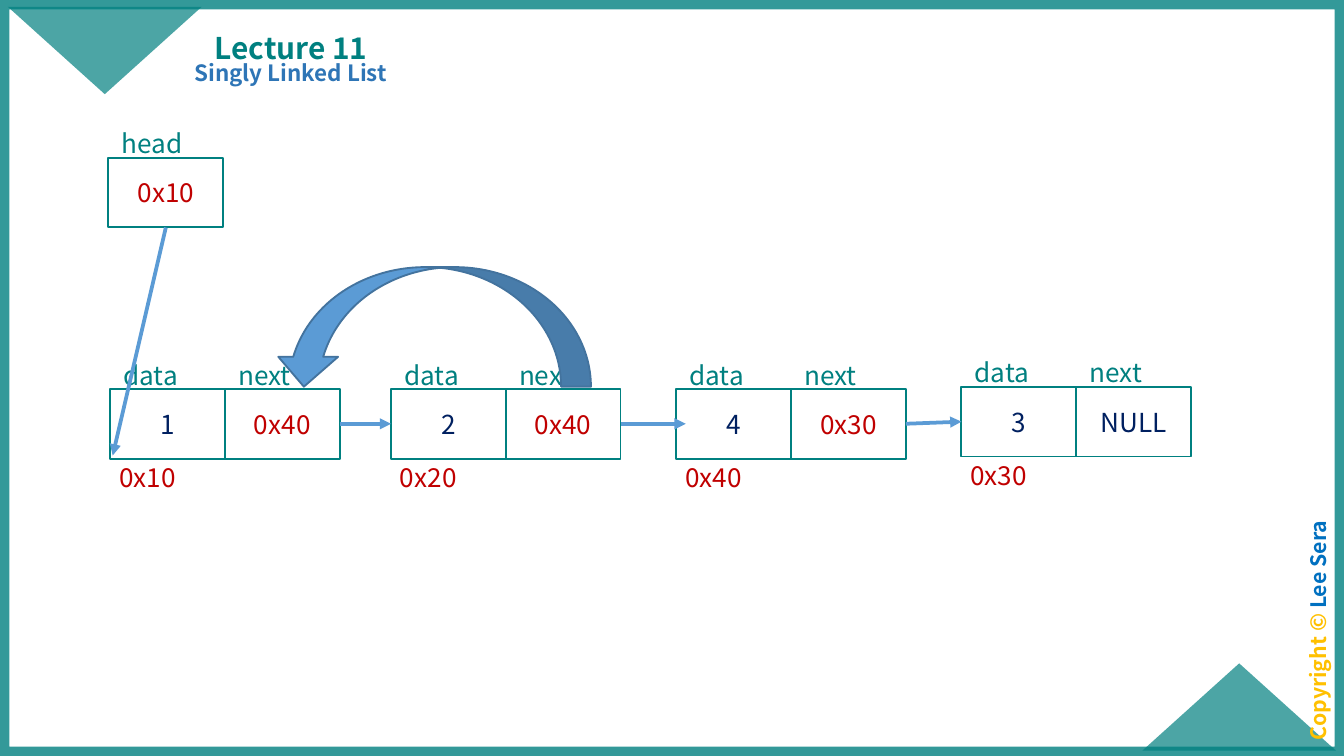
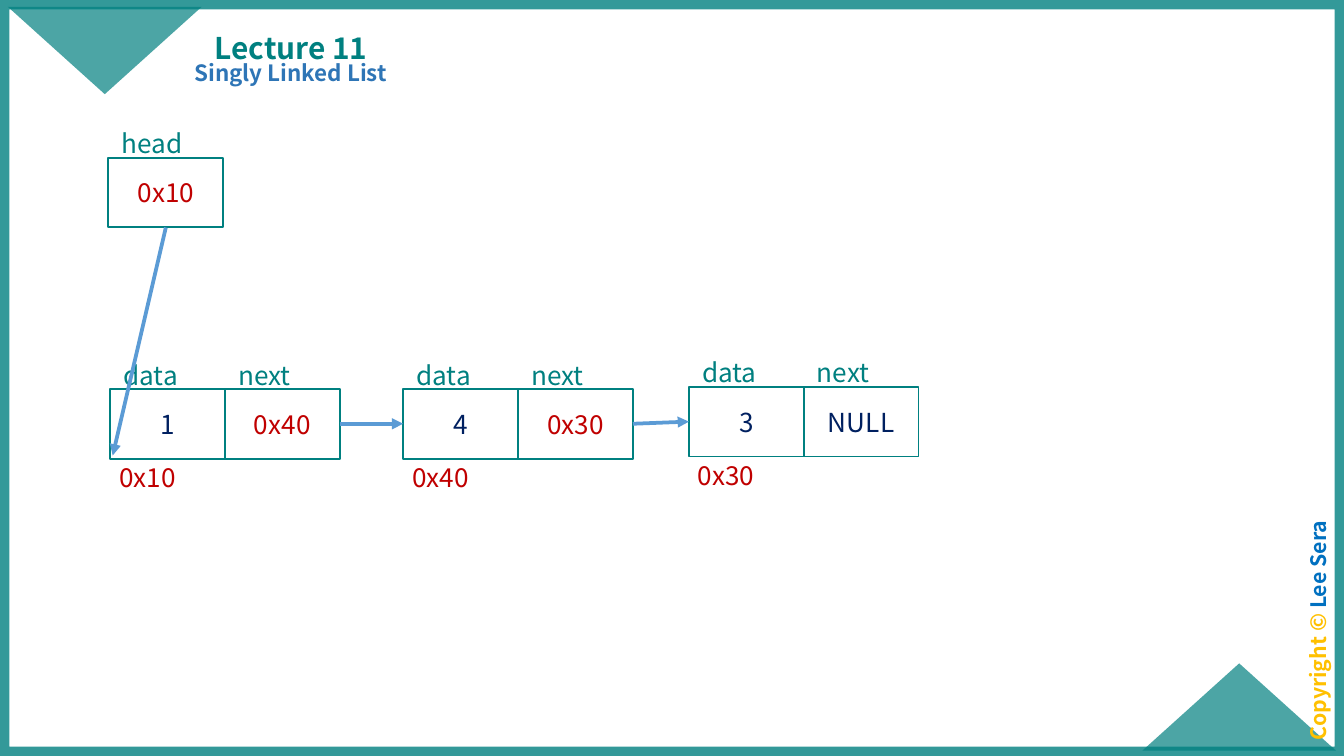
from dataclasses import dataclass

from lxml.etree import SubElement
from pptx import Presentation
from pptx.dml.color import RGBColor
from pptx.enum.shapes import MSO_CONNECTOR, MSO_SHAPE
from pptx.enum.text import MSO_ANCHOR as Anchor
from pptx.enum.text import MSO_AUTO_SIZE as AutoSize
from pptx.enum.text import PP_ALIGN as Align
from pptx.oxml.ns import qn
from pptx.shapes.autoshape import Shape
from pptx.shapes.connector import Connector
from pptx.shapes.shapetree import GroupShapes
from pptx.slide import Slide
from pptx.text.text import TextFrame
from pptx.util import Cm, Pt

COLORS = {
    "teal": "008080",
    "red": "C00000",
    "navy": "002060",
    "arrow": "5B9BD5",
    "arrow_edge": "43739E",
    "subtitle": "2E75B6",
    "gold": "FFC000",
    "author": "0070C0",
}
FONT = "Noto Sans CJK KR"
PAGE_WIDTH, PAGE_HEIGHT = 25.4, 14.29
CELL_WIDTH, CELL_HEIGHT = 2.17, 1.32
LABEL_WIDTH, LABEL_HEIGHT, LABEL_RISE = 3.02, 0.86, 0.69
ADDRESS_SHIFT, ADDRESS_DROP = -0.08, 1.24
ROW_TOP = 7.35
TOP, LEFT, BOTTOM, RIGHT = range(4)


@dataclass(frozen=True)
class Frame:
    """A place on the page, in centimetres."""
    left: float
    top: float
    width: float
    height: float

    def lengths(self) -> tuple[Cm, Cm, Cm, Cm]:
        return Cm(self.left), Cm(self.top), Cm(self.width), Cm(self.height)


@dataclass(frozen=True)
class Span:
    text: str
    color: str
    size: float = 14
    bold: bool = False


@dataclass(frozen=True)
class Node:
    left: float
    data: str
    link: str
    address: str
    top: float = ROW_TOP
    arrow_overlap: float = 0


@dataclass(frozen=True)
class Cells:
    data: Shape
    link: Shape


FIRST = Node(2.08, "1", "0x40", "0x10")
LISTS = [
    [
        FIRST,
        Node(7.39, "2", "0x40", "0x20"),
        Node(12.78, "4", "0x30", "0x40", arrow_overlap=0.18),
        Node(18.17, "3", "NULL", "0x30", top=7.31),
    ],
    [
        FIRST,
        Node(7.62, "4", "0x30", "0x40"),
        Node(13.02, "3", "NULL", "0x30", top=7.31),
    ],
]


def rgb(name: str) -> RGBColor:
    return RGBColor.from_string(COLORS[name])


def write(frame: TextFrame, *spans: Span, align: Align = Align.LEFT,
          spacing: float | None = None, before: float = 0) -> None:
    para = frame.paragraphs[0]
    para.alignment = align
    para.line_spacing = spacing
    para.space_before = Pt(before)
    for span in spans:
        run = para.add_run()
        run.text = span.text
        run.font.name = FONT
        run.font.size = Pt(span.size)
        run.font.bold = span.bold
        run.font.color.rgb = rgb(span.color)


def tighten(frame: TextFrame) -> None:
    """Use the narrow margins shared by titles and credit."""
    frame.word_wrap = True
    frame.auto_size = AutoSize.NONE
    frame.margin_left = frame.margin_right = Cm(0.18)
    frame.margin_top = frame.margin_bottom = Cm(0.1)


def add_figure(shapes: GroupShapes, kind: MSO_SHAPE, place: Frame,
               fill: str | None = None, line: str | None = None,
               weight: float = 1) -> Shape:
    figure = shapes.add_shape(kind, *place.lengths())
    figure.shadow.inherit = False
    if fill:
        figure.fill.solid()
        figure.fill.fore_color.rgb = rgb(fill)
    else:
        figure.fill.background()
    if line:
        figure.line.color.rgb = rgb(line)
        figure.line.width = Pt(weight)
    else:
        figure.line.fill.background()
    return figure


def set_opacity(figure: Shape, percent: int) -> None:
    for color in figure.element.spPr.iter(qn("a:srgbClr")):
        SubElement(color, qn("a:alpha")).set("val", str(percent * 1000))


def add_cell(shapes: GroupShapes, left: float, top: float, text: str,
             color: str) -> Shape:
    cell = add_figure(shapes, MSO_SHAPE.RECTANGLE,
                      Frame(left, top, CELL_WIDTH, CELL_HEIGHT), line="teal")
    cell.text_frame.vertical_anchor = Anchor.MIDDLE
    write(cell.text_frame, Span(text, color), align=Align.CENTER)
    return cell


def add_label(shapes: GroupShapes, left: float, top: float, text: str,
              color: str = "teal") -> None:
    place = Frame(left, top, LABEL_WIDTH, LABEL_HEIGHT)
    box = shapes.add_textbox(*place.lengths())
    box.text_frame.word_wrap = True
    box.text_frame.auto_size = AutoSize.SHAPE_TO_FIT_TEXT
    write(box.text_frame, Span(text, color))


def add_node(page: Slide, node: Node) -> Cells:
    shapes = page.shapes.add_group_shape().shapes
    link_left = node.left + CELL_WIDTH
    link_color = "navy" if node.link == "NULL" else "red"
    data = add_cell(shapes, node.left, node.top, node.data, "navy")
    link = add_cell(shapes, link_left, node.top, node.link, link_color)
    add_label(shapes, node.left, node.top - LABEL_RISE, "data")
    add_label(shapes, link_left, node.top - LABEL_RISE, "next")
    add_label(shapes, node.left + ADDRESS_SHIFT, node.top + ADDRESS_DROP,
              node.address, "red")
    return Cells(data, link)


def add_head(page: Slide) -> Shape:
    shapes = page.shapes.add_group_shape().shapes
    left, top = 2.05, 2.98
    cell = add_cell(shapes, left, top, "0x10", "red")
    add_label(shapes, left, top - LABEL_RISE, "head")
    return cell


def add_arrow(page: Slide, start: Shape, side: int, end_x: float,
              end_y: float) -> Connector:
    """Draw an arrow from a side of a cell to a point."""
    arrow = page.shapes.add_connector(
        MSO_CONNECTOR.STRAIGHT, start.left, start.top, Cm(end_x), Cm(end_y))
    arrow.begin_connect(start, side)
    arrow.line.color.rgb = rgb("arrow")
    arrow.line.width = Pt(2)
    SubElement(arrow.line._get_or_add_ln(), qn("a:tailEnd")).set("type", "triangle")
    SubElement(arrow.element.spPr, qn("a:effectLst"))
    return arrow


def add_list(page: Slide, nodes: list[Node]) -> None:
    head = add_head(page)
    cells = [add_node(page, node) for node in nodes]
    add_arrow(page, head, BOTTOM, 2.13, 8.61)
    for source, target, node in zip(cells, cells[1:], nodes[1:]):
        arrow = add_arrow(page, source.link, RIGHT, node.left + node.arrow_overlap,
                          node.top + CELL_HEIGHT / 2)
        if not node.arrow_overlap:
            arrow.end_connect(target.data, LEFT)


def add_relink_arrow(page: Slide) -> None:
    arrow = add_figure(page.shapes, MSO_SHAPE.CURVED_DOWN_ARROW,
                       Frame(5.18, 5.05, 5.99, 2.26), "arrow", "arrow_edge")
    arrow.element.spPr.find(qn("a:xfrm")).set("flipH", "1")


def add_decor(page: Slide) -> None:
    border = add_figure(page.shapes, MSO_SHAPE.RECTANGLE,
                        Frame(0, 0, PAGE_WIDTH, PAGE_HEIGHT), line="teal", weight=10)
    set_opacity(border, 80)
    for left, top, rotation in ((21.59, 12.54, 0), (0.15, 0.13, 180)):
        corner = add_figure(page.shapes, MSO_SHAPE.ISOSCELES_TRIANGLE,
                            Frame(left, top, 3.66, 1.65), "teal")
        corner.rotation = rotation
        set_opacity(corner, 70)
    credit = page.shapes.add_textbox(*Frame(22.66, 11.6, 4.72, 0.64).lengths())
    credit.rotation = 270
    tighten(credit.text_frame)
    write(credit.text_frame, Span("Copyright © ", "gold", 11.4, True),
          Span("Lee Sera", "author", 11.4, True),
          align=Align.CENTER, spacing=0.7, before=10)


def fill_placeholder(holder: Shape, place: Frame, span: Span, anchor: Anchor,
                     before: float = 0) -> None:
    holder.left, holder.top, holder.width, holder.height = place.lengths()
    tighten(holder.text_frame)
    holder.text_frame.vertical_anchor = anchor
    write(holder.text_frame, span, align=Align.CENTER, spacing=0.9, before=before)


def add_page(deck: Presentation, nodes: list[Node]) -> Slide:
    page = deck.slides.add_slide(deck.slide_layouts[0])
    add_decor(page)
    fill_placeholder(page.shapes.title, Frame(3.56, 0.15, 3.89, 1.19),
                     Span("Lecture 11", "teal", 16, True), Anchor.BOTTOM)
    fill_placeholder(page.placeholders[1], Frame(2.79, 1.07, 5.41, 0.86),
                     Span("Singly Linked List", "subtitle", 12, True),
                     Anchor.TOP, before=7.5)
    add_list(page, nodes)
    return page


def main() -> None:
    deck = Presentation()
    deck.slide_width, deck.slide_height = Cm(PAGE_WIDTH), Cm(PAGE_HEIGHT)
    pages = [add_page(deck, nodes) for nodes in LISTS]
    add_relink_arrow(pages[0])
    deck.save("out.pptx")


if __name__ == "__main__":
    main()
